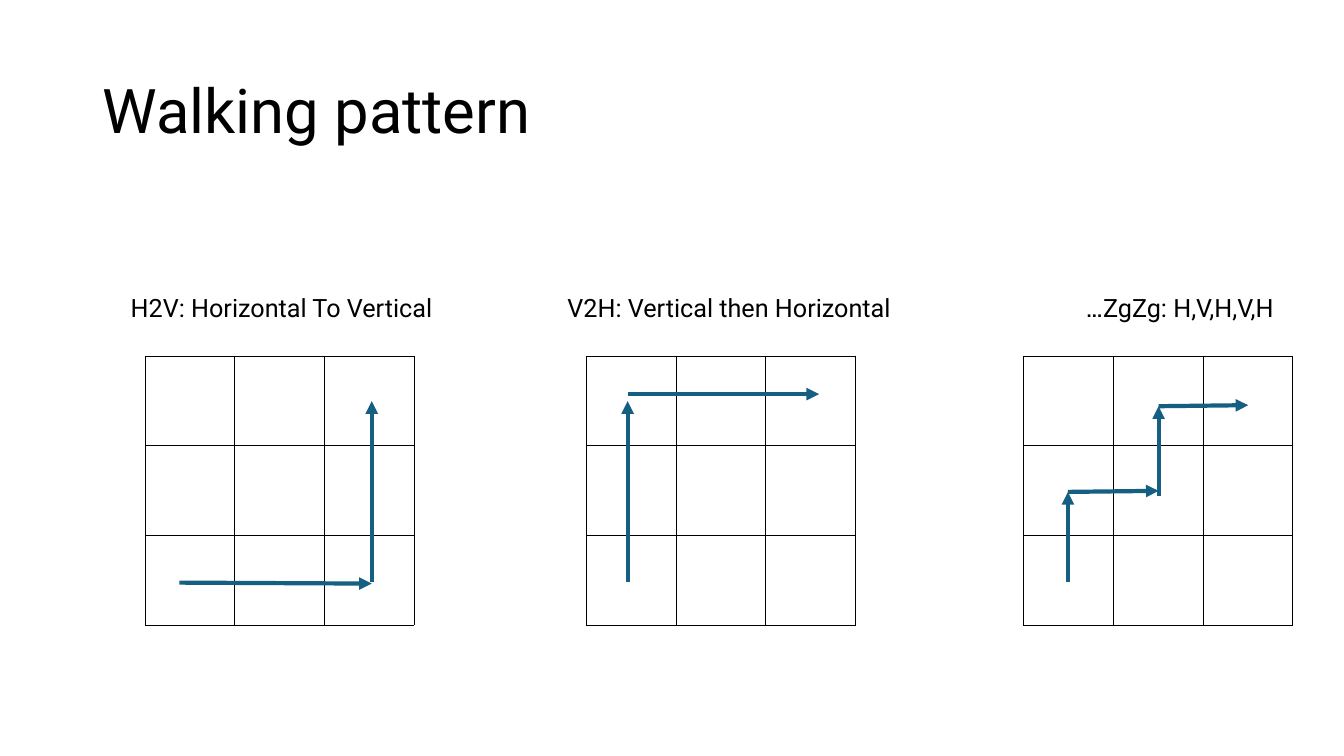
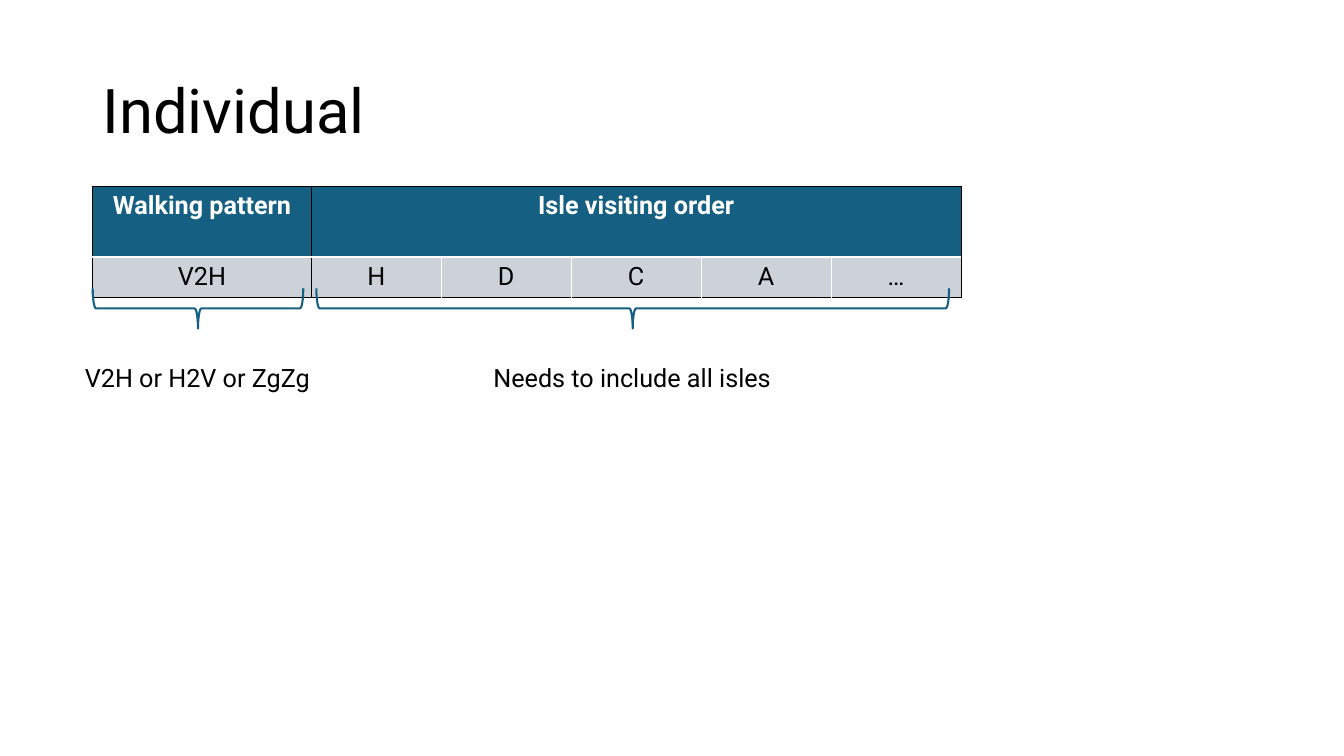
from dataclasses import dataclass

from lxml import etree
from pptx import Presentation
from pptx import util as u
from pptx.dml.color import RGBColor
from pptx.enum import shapes, text
from pptx.oxml import ns
from pptx.slide import Slide
from pptx.table import Table, _Cell
from pptx.text.text import TextFrame

PX = 9144  # EMU per px, 100 px to the inch


@dataclass(frozen=True)
class Theme:
    font: str = "Roboto"
    ink: str = "000000"
    paper: str = "FFFFFF"
    accent: str = "156082"
    pale: str = "CCD2D8"
    title_pt: int = 44
    body_pt: int = 18
    arrow_pt: float = 3
    brace_pt: float = 1.5
    thin_pt: float = 0.45
    thick_pt: float = 1.47


THEME = Theme()
ALIGN = text.PP_ALIGN


@dataclass(frozen=True)
class Box:
    left: int
    top: int
    width: int
    height: int

    def emu(self) -> list[int]:
        return [px(v) for v in (self.left, self.top, self.width, self.height)]


@dataclass(frozen=True)
class Border:
    color: str
    points: float


BLACK = Border(THEME.ink, THEME.thin_pt)
WHITE = Border(THEME.paper, THEME.thin_pt)
RULE = Border(THEME.paper, THEME.thick_pt)


@dataclass(frozen=True)
class Pattern:
    caption: str
    caption_box: Box
    grid_left: int
    arrows: list[tuple[int, int, int, int]]  # from x, y to x, y


@dataclass(frozen=True)
class Gene:
    """A part of the individual: its brace and the remark below it."""
    remark: str
    remark_box: Box
    brace_left: int
    brace_width: int


TITLE_BOX = Box(92, 40, 1150, 145)
GRID_TOP, GRID_CELL, GRID_SIZE = 353, 89, 3
CAPTION_TOP, CAPTION_HEIGHT = 285, 40
PATTERNS = [
    Pattern("H2V: Horizontal To Vertical",
            Box(107, CAPTION_TOP, 332, CAPTION_HEIGHT), 144,
            [(178, 578, 369, 579), (369, 577, 369, 398)]),
    Pattern("V2H: Vertical then Horizontal",
            Box(537, CAPTION_TOP, 357, CAPTION_HEIGHT), 582,
            [(623, 391, 813, 391), (623, 577, 623, 398)]),
    Pattern("ZgZg: H,V,H,V,H…",
            Box(1052, CAPTION_TOP, 222, CAPTION_HEIGHT), 1016,
            [(1060, 577, 1060, 488), (1060, 488, 1150, 487),
             (1150, 492, 1150, 403), (1150, 403, 1239, 402)]),
]

ISLES = ["H", "D", "C", "A", "…"]
PATTERN_WIDTH, ISLE_WIDTH = 217, 129
HEADER_HEIGHT, VALUE_HEIGHT = 70, 40
BRACE_TOP, BRACE_DEPTH = 286, 40
GENES = [
    Gene("V2H or H2V or ZgZg", Box(73, 355, 246, 70), 92, 209),
    Gene("Needs to include all isles", Box(479, 355, 297, 70), 314, 628),
]


def px(value: float) -> u.Emu:
    return u.Emu(round(value * PX))


def rgb(color: str) -> RGBColor:
    return RGBColor.from_string(color)


def write(frame: TextFrame, words: str, align: ALIGN, size: int = THEME.body_pt,
          color: str = THEME.ink, bold: bool = False) -> None:
    frame.text = words
    paragraph = frame.paragraphs[0]
    paragraph.alignment = align
    for run in paragraph.runs:
        run.font.name = THEME.font
        run.font.size = u.Pt(size)
        run.font.bold = bold
        run.font.color.rgb = rgb(color)


def add_text(slide: Slide, box: Box, words: str, align: ALIGN,
             size: int = THEME.body_pt) -> TextFrame:
    frame = slide.shapes.add_textbox(*box.emu()).text_frame
    frame.word_wrap = True
    write(frame, words, align, size)
    return frame


def add_titled_slide(deck: Presentation, title: str) -> Slide:
    slide = deck.slides.add_slide(deck.slide_layouts[6])
    frame = add_text(slide, TITLE_BOX, title, ALIGN.LEFT, THEME.title_pt)
    frame.vertical_anchor = text.MSO_ANCHOR.MIDDLE
    frame.paragraphs[0].line_spacing = 0.9
    return slide


def add_caption(slide: Slide, pattern: Pattern) -> None:
    """Captions run right to left, which puts closing dots at the left."""
    frame = add_text(slide, pattern.caption_box, pattern.caption, ALIGN.RIGHT)
    frame.paragraphs[0]._p.get_or_add_pPr().set("rtl", "1")


def add_plain_table(slide: Slide, left: int, top: int, widths: list[int],
                    heights: list[int]) -> Table:
    box = Box(left, top, sum(widths), sum(heights))
    table = slide.shapes.add_table(len(heights), len(widths), *box.emu()).table
    table.first_row = table.horz_banding = False
    for column, width in zip(table.columns, widths):
        column.width = px(width)
    for row, height in zip(table.rows, heights):
        row.height = px(height)
    return table


def set_borders(cell: _Cell, left: Border, right: Border, top: Border,
                bottom: Border) -> None:
    properties = cell._tc.get_or_add_tcPr()
    sides = zip(("a:lnL", "a:lnR", "a:lnT", "a:lnB"), (left, right, top, bottom))
    for position, (tag, border) in enumerate(sides):
        line = etree.Element(ns.qn(tag), w=str(u.Pt(border.points)))
        fill = etree.SubElement(line, ns.qn("a:solidFill"))
        etree.SubElement(fill, ns.qn("a:srgbClr"), val=border.color)
        properties.insert(position, line)


def fill_cell(cell: _Cell, color: str) -> None:
    cell.fill.solid()
    cell.fill.fore_color.rgb = rgb(color)


def add_grid(slide: Slide, left: int) -> None:
    sides = [GRID_CELL] * GRID_SIZE
    for cell in add_plain_table(slide, left, GRID_TOP, sides, sides).iter_cells():
        cell.fill.background()
        set_borders(cell, BLACK, BLACK, BLACK, BLACK)


def add_arrow(slide: Slide, ends: tuple[int, int, int, int]) -> None:
    arrow = slide.shapes.add_connector(
        shapes.MSO_CONNECTOR.STRAIGHT, *(px(v) for v in ends))
    arrow.line.color.rgb = rgb(THEME.accent)
    arrow.line.width = u.Pt(THEME.arrow_pt)
    etree.SubElement(arrow.line._get_or_add_ln(), ns.qn("a:tailEnd"), type="triangle")
    etree.SubElement(arrow._element.spPr, ns.qn("a:effectLst"))


def add_brace(slide: Slide, left: int, width: int) -> None:
    """A left brace turned to point down; its box is turned about its centre."""
    shift = (width - BRACE_DEPTH) / 2
    brace = slide.shapes.add_shape(
        shapes.MSO_SHAPE.LEFT_BRACE, px(left + shift), px(BRACE_TOP - shift),
        px(BRACE_DEPTH), px(width))
    brace.rotation = 270
    brace.shadow.inherit = False
    brace.fill.background()
    brace.line.color.rgb = rgb(THEME.accent)
    brace.line.width = u.Pt(THEME.brace_pt)


def add_individual(slide: Slide) -> None:
    table = add_plain_table(
        slide, TITLE_BOX.left, TITLE_BOX.top + TITLE_BOX.height,
        [PATTERN_WIDTH] + [ISLE_WIDTH] * len(ISLES), [HEADER_HEIGHT, VALUE_HEIGHT])
    table.first_row = True
    last = len(ISLES)
    for column, value in enumerate(["V2H"] + ISLES):
        header, gene = table.cell(0, column), table.cell(1, column)
        fill_cell(header, THEME.accent)
        set_borders(header, BLACK, BLACK, BLACK, RULE)
        fill_cell(gene, THEME.pale)
        set_borders(gene, BLACK if column < 2 else WHITE,
                    BLACK if column in (0, last) else WHITE, RULE, BLACK)
        write(gene.text_frame, value, ALIGN.CENTER)
    table.cell(0, 1).merge(table.cell(0, last))
    for column, heading in enumerate(["Walking pattern", "Isle visiting order"]):
        write(table.cell(0, column).text_frame, heading, ALIGN.CENTER,
              color=THEME.paper, bold=True)


def build_walking_pattern(deck: Presentation) -> None:
    slide = add_titled_slide(deck, "Walking pattern")
    for pattern in PATTERNS:
        add_grid(slide, pattern.grid_left)
        for ends in pattern.arrows:
            add_arrow(slide, ends)
        add_caption(slide, pattern)


def build_individual(deck: Presentation) -> None:
    slide = add_titled_slide(deck, "Individual")
    add_individual(slide)
    for gene in GENES:
        add_brace(slide, gene.brace_left, gene.brace_width)
        add_text(slide, gene.remark_box, gene.remark, ALIGN.CENTER)


def main() -> None:
    deck = Presentation()
    deck.slide_width, deck.slide_height = px(1334), px(750)
    build_walking_pattern(deck)
    build_individual(deck)
    deck.save("out.pptx")


if __name__ == "__main__":
    main()
